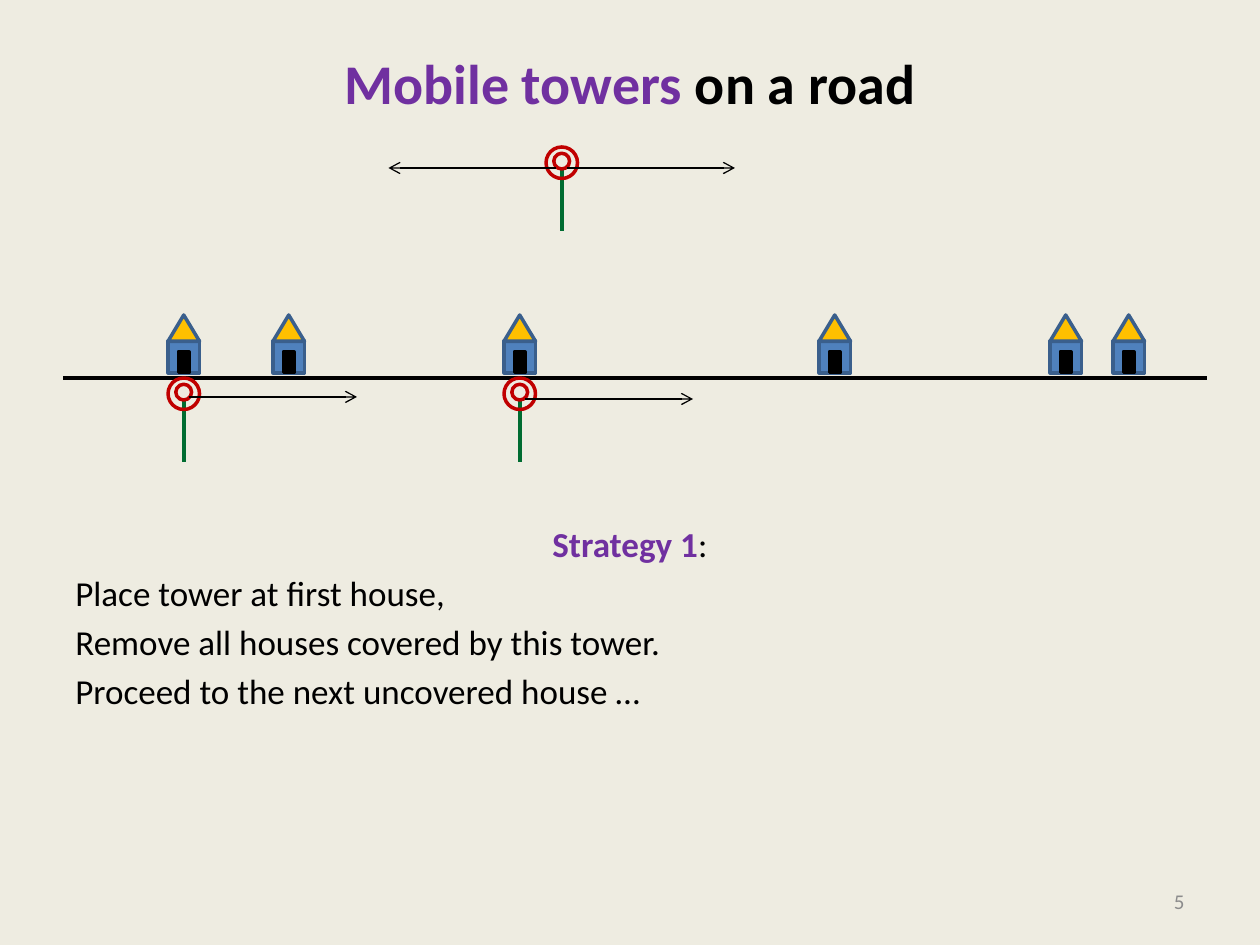
from lxml import etree
from pptx import Presentation
from pptx.dml.color import RGBColor
from pptx.enum.shapes import MSO_CONNECTOR, MSO_SHAPE
from pptx.enum.text import MSO_ANCHOR, PP_ALIGN
from pptx.oxml.ns import qn
from pptx.util import Pt

LINE = MSO_CONNECTOR.STRAIGHT
WALL, ROOF = MSO_SHAPE.FLOWCHART_PROCESS, MSO_SHAPE.ISOSCELES_TRIANGLE
DOOR, RING = MSO_SHAPE.RECTANGLE, MSO_SHAPE.OVAL
LEFT, MID, RIGHT = PP_ALIGN.LEFT, PP_ALIGN.CENTER, PP_ALIGN.RIGHT
TOP, CENTER = MSO_ANCHOR.TOP, MSO_ANCHOR.MIDDLE

HUES = {"back": "EEECE1", "ink": "000000", "key": "7030A0", "page": "8C8C8C",
        "wall": "4F81BD", "edge": "3A5F8C", "roof": "FFC000",
        "mast": "006C31", "ring": "C00000"}

TITLE = [(MID, [("Mobile towers ", "key", True), ("on a road", "ink", True)])]
STEPS = ["Place tower at first house,",
         "Remove all houses covered by this tower.",
         "Proceed to the next uncovered house …"]
BODY = [(MID, [("Strategy 1", "key", True), (":", "ink", False)])]
BODY += [(LEFT, [(step, "ink", False)]) for step in STEPS]
PAGE = [(RIGHT, [("5", "page", False)])]

ROAD = 216
REACH = 96
HOUSES = [96, 156, 288, 468, 600, 636]
TOWERS = [(96, ROAD, 10.8, False), (288, ROAD, 12, False), (312, 84, 12, True)]


def hue(name):
    return RGBColor.from_string(HUES[name])


def add_text(slide, rows, box, size=20, anchor=TOP, inset=3.6, gap=0):
    frame = slide.shapes.add_textbox(*map(Pt, box)).text_frame
    frame.word_wrap = True
    frame.vertical_anchor = anchor
    frame.margin_top = Pt(inset)
    for num, (align, runs) in enumerate(rows):
        para = frame.add_paragraph() if num else frame.paragraphs[0]
        para.alignment = align
        para.space_before = Pt(gap if num else 0)
        for words, tone, bold in runs:
            run = para.add_run()
            run.text = words
            font = run.font
            font.name, font.size, font.bold = "Calibri", Pt(size), bold
            font.color.rgb = hue(tone)


def add_shape(group, kind, box, fill, edge):
    shape = group.shapes.add_shape(kind, *map(Pt, box))
    shape.shadow.inherit = False
    if fill:
        shape.fill.solid()
        shape.fill.fore_color.rgb = hue(fill)
    else:
        shape.fill.background()
    shape.line.color.rgb = hue(edge)
    shape.line.width = Pt(2)


def add_line(group, ends, tone, width=2.25, arrow=False):
    line = group.shapes.add_connector(LINE, *map(Pt, ends))
    line.line.color.rgb = hue(tone)
    line.line.width = Pt(width)
    props = line.element.spPr
    etree.SubElement(props, qn("a:effectLst"))
    if arrow:
        etree.SubElement(props.find(qn("a:ln")), qn("a:tailEnd"), type="arrow")


def add_house(slide, x):
    group = slide.shapes.add_group_shape()
    add_shape(group, WALL, (x, ROAD - 21, 18, 18), "wall", "edge")
    add_shape(group, ROOF, (x, ROAD - 36, 18, 15), "roof", "edge")
    add_shape(group, DOOR, (x + 6, ROAD - 15, 6, 12), "ink", "ink")


def add_tower(slide, x, y, drop, both):
    group = slide.shapes.add_group_shape()
    mid = x + 9
    add_line(group, (mid, y + 12, mid, y + 48), "mast")
    add_shape(group, RING, (x, y, 18, 18), None, "ring")
    add_shape(group, RING, (x + 4.5, y + 3.6, 9, 9), None, "ring")
    for side in (1, -1) if both else (1,):
        start = mid + 3 * side
        add_line(group, (start, y + drop, start + REACH * side, y + drop),
                 "ink", width=0.75, arrow=True)


def main():
    deck = Presentation()
    deck.slide_width, deck.slide_height = Pt(720), Pt(540)
    slide = deck.slides.add_slide(deck.slide_layouts[6])
    slide.background.fill.solid()
    slide.background.fill.fore_color.rgb = hue("back")
    add_text(slide, TITLE, (36, 21.6, 648, 90), size=32, inset=6)
    add_text(slide, BODY, (36, 295, 648, 187.4), gap=4)
    add_text(slide, PAGE, (516, 500.4, 168, 28.8), size=12, anchor=CENTER)
    add_line(slide, (36, ROAD, 690, ROAD), "ink")
    for x in HOUSES:
        add_house(slide, x)
    for tower in TOWERS:
        add_tower(slide, *tower)
    deck.save("out.pptx")


if __name__ == "__main__":
    main()
